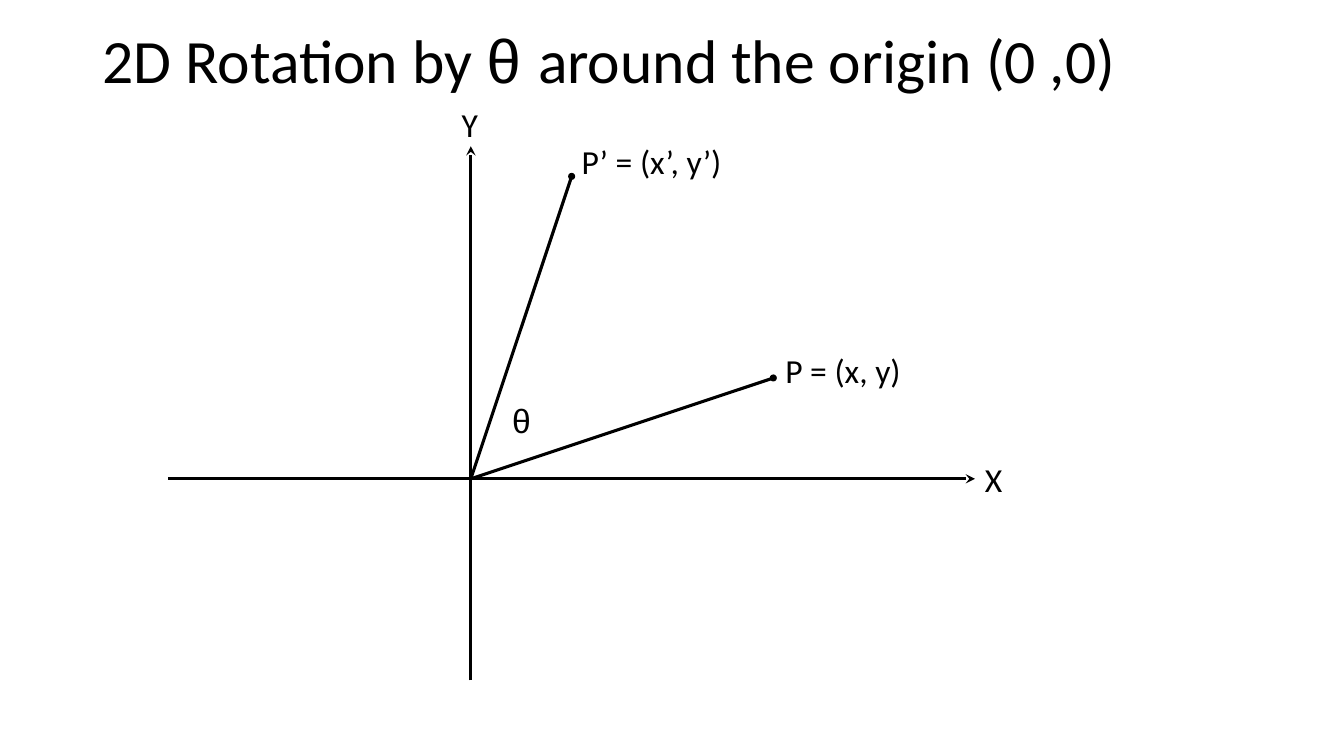
from pptx import Presentation
from pptx.dml.color import RGBColor
from pptx.enum.shapes import MSO_CONNECTOR as Connector, MSO_SHAPE as Shape
from pptx.enum.text import MSO_ANCHOR as Anchor, MSO_AUTO_SIZE as AutoSize
from pptx.oxml.ns import qn
from pptx.util import Inches, Pt
from lxml.etree import SubElement

BLACK = RGBColor(0, 0, 0)
LATIN, GREEK = "Calibri", "Arial"
COLUMNS, ROWS = 8, 5.3           # plot grid, one unit per cell
ORIGIN_COLUMN, ORIGIN_ROW = 3, 3.3
DOT = 0.07


def style_run(run, font, size):
    run.font.name = font
    run.font.size = Pt(size)
    run.font.color.rgb = BLACK


def add_title(slide, left, top, width, height):
    title = slide.shapes.add_textbox(*map(Inches, (left, top, width, height)))
    frame = title.text_frame
    frame.word_wrap = True
    frame.vertical_anchor = Anchor.MIDDLE
    heading = frame.paragraphs[0]
    heading.line_spacing = 0.9
    for words, font in (("2D Rotation by ", LATIN), ("θ ", GREEK),
                        ("around the origin (0 ,0)", LATIN)):
        run = heading.add_run()
        run.text = words
        style_run(run, font, 44)


def add_plot(slide, left, top, width, height):
    column, row = width / COLUMNS, height / ROWS

    def place(x, y):
        """Turn plot coordinates into slide inches."""
        return left + (ORIGIN_COLUMN + x) * column, top + (ORIGIN_ROW - y) * row

    def add_line(start, end, arrow=False):
        ends = (*place(*start), *place(*end))
        line = slide.shapes.add_connector(Connector.STRAIGHT, *map(Inches, ends))
        line.line.color.rgb = BLACK
        line.line.width = Pt(2.25)
        if arrow:
            SubElement(line.line._get_or_add_ln(), qn("a:tailEnd"), type="stealth")
        SubElement(line._element.spPr, qn("a:effectLst"))

    def add_dot(x, y):
        center_x, center_y = place(x, y)
        dot = slide.shapes.add_shape(Shape.OVAL, Inches(center_x - DOT / 2),
                                     Inches(center_y - DOT / 2), Inches(DOT), Inches(DOT))
        dot.shadow.inherit = False
        dot.fill.solid()
        dot.fill.fore_color.rgb = BLACK
        dot.line.fill.background()

    def add_label(text, x, y, label_width, font=LATIN):
        corner = map(Inches, place(x, y))
        label = slide.shapes.add_textbox(*corner, Inches(label_width), Inches(0.5))
        frame = label.text_frame
        frame.text = text
        frame.word_wrap = False
        frame.auto_size = AutoSize.SHAPE_TO_FIT_TEXT
        style_run(frame.paragraphs[0].runs[0], font, 24)

    # Axes
    add_line((-3, 0), (5, 0), arrow=True)
    add_line((0, -2), (0, 3.3), arrow=True)

    # Point and its rotated image
    for point in ((3, 1), (1, 3)):
        add_line((0, 0), point)
        add_dot(*point)

    # Labels, by their top left corner
    add_label("P = (x, y)", 3.02, 1.33, 1.36)
    add_label("P’ = (x’, y’)", 1, 3.4, 1.6)
    add_label("θ", 0.31, 0.83, 0.38, GREEK)
    add_label("Y", -0.19, 3.77, 0.37)
    add_label("X", 5, 0.25, 0.38)


deck = Presentation()
deck.slide_width, deck.slide_height = Inches(13.33), Inches(7.5)
rotation = deck.slides.add_slide(deck.slide_layouts[6])
add_title(rotation, 0.92, 0, 11.5, 1.26)
add_plot(rotation, 1.67, 1.45, 8, 5.3)
deck.save("out.pptx")
